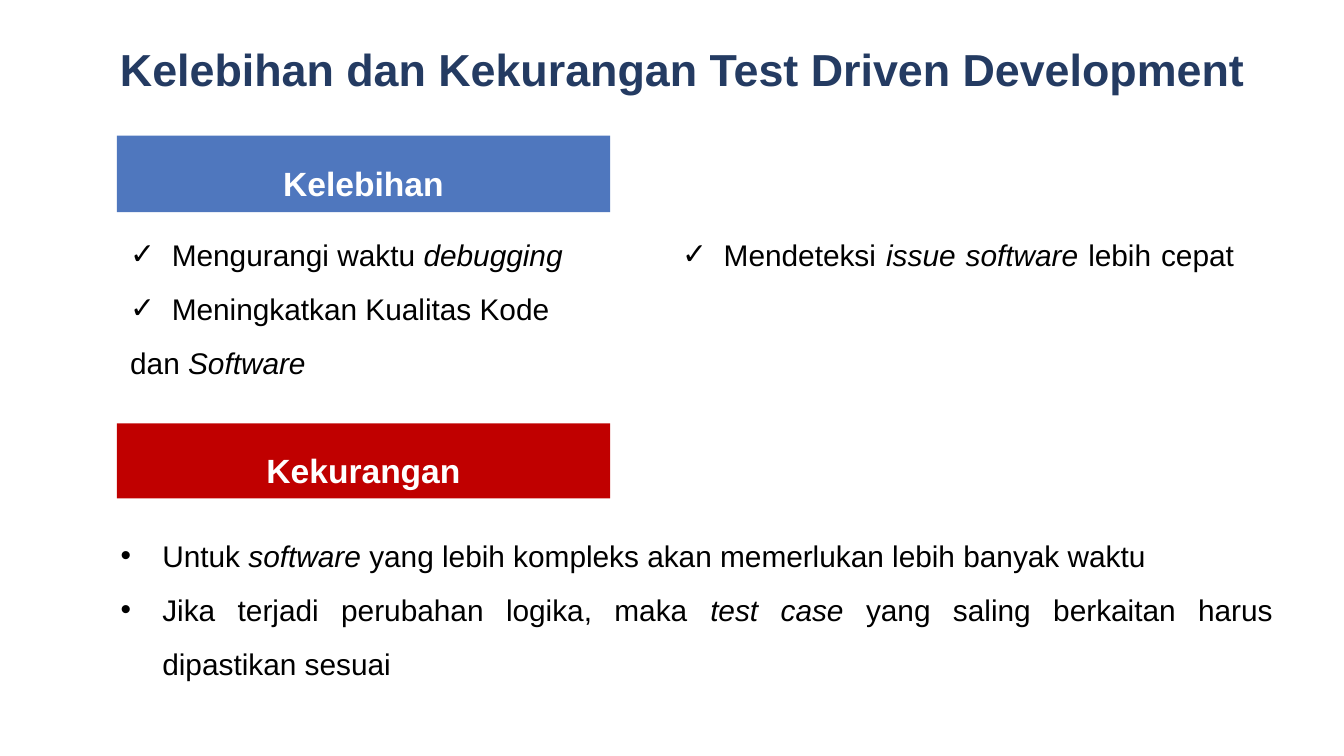
from dataclasses import dataclass

from lxml.etree import SubElement
from pptx import Presentation
from pptx.dml.color import RGBColor
from pptx.enum.shapes import MSO_SHAPE
from pptx.enum.text import MSO_ANCHOR, MSO_AUTO_SIZE, PP_ALIGN
from pptx.oxml.ns import qn
from pptx.util import Inches, Pt


@dataclass(frozen=True)
class Theme:
    font: str = "Arial"
    title: str = "243B62"
    body: str = "000000"
    on_fill: str = "FFFFFF"
    pros: str = "4F77BE"
    cons: str = "C00000"
    title_size: int = 24
    heading_size: int = 18
    body_size: int = 16
    line_spacing: float = 1.5
    hanging: float = 0.31


@dataclass(frozen=True)
class Box:
    left: float
    top: float
    width: float
    height: float

    def lengths(self) -> list:
        return [Inches(v) for v in (self.left, self.top, self.width, self.height)]


@dataclass(frozen=True)
class Heading:
    text: str
    box: Box
    fill: str


@dataclass(frozen=True)
class Item:
    """A paragraph whose *starred* words are italic."""
    text: str
    bullet: str = ""


@dataclass(frozen=True)
class ItemList:
    box: Box
    items: tuple
    columns: int = 1


T = Theme()
SLIDE_WIDTH = Inches(10)
SLIDE_HEIGHT = SLIDE_WIDTH * 9 // 16
TITLE = "Kelebihan dan Kekurangan Test Driven Development"
TITLE_BOX = Box(0.58, 0.26, 8.99, 0.5)
HEADINGS = (
    Heading("Kelebihan", Box(0.87, 1.01, 3.67, 0.57), T.pros),
    Heading("Kekurangan", Box(0.87, 3.15, 3.67, 0.56), T.cons),
)
LISTS = (
    ItemList(Box(0.87, 1.58, 8.41, 1.31), (
        Item("Mengurangi waktu *debugging*", "✓"),
        Item("Meningkatkan Kualitas Kode ", "✓"),
        Item("dan *Software*"),
        Item("Mendeteksi *issue software *lebih cepat ", "✓"),
    ), columns=2),
    ItemList(Box(0.8, 3.82, 8.77, 1.26), (
        Item("Untuk *software *yang lebih kompleks akan memerlukan lebih banyak waktu ", "•"),
        Item("Jika terjadi perubahan logika, maka *test case* yang saling berkaitan harus "
             "dipastikan sesuai", "•"),
    )),
)


def set_format(target, values: dict) -> None:
    for name, value in values.items():
        setattr(target, name, value)


def add_run(p, text: str, size: int, color: str, **extra) -> None:
    r = p.add_run()
    r.text = text
    set_format(r.font, {"name": T.font, "size": Pt(size), **extra})
    r.font.color.rgb = RGBColor.from_string(color)


def add_text_frame(s, box: Box):
    tf = s.shapes.add_textbox(*box.lengths()).text_frame
    set_format(tf, {"word_wrap": True, "auto_size": MSO_AUTO_SIZE.SHAPE_TO_FIT_TEXT})
    return tf


def add_bullet(p, char: str) -> None:
    pPr = p._p.get_or_add_pPr()
    pPr.set("marL", str(Inches(T.hanging)))
    pPr.set("indent", str(-Inches(T.hanging)))
    color = SubElement(pPr, qn("a:buClr"))
    SubElement(color, qn("a:srgbClr"), val=T.body)
    SubElement(pPr, qn("a:buFont"), typeface=T.font)
    SubElement(pPr, qn("a:buChar"), char=char)


def add_title(s) -> None:
    p = add_text_frame(s, TITLE_BOX).paragraphs[0]
    p.alignment = PP_ALIGN.CENTER
    add_run(p, TITLE, T.title_size, T.title, bold=True)


def add_heading(s, heading: Heading) -> None:
    sp = s.shapes.add_shape(MSO_SHAPE.RECTANGLE, *heading.box.lengths())
    sp.shadow.inherit = False
    sp.fill.solid()
    sp.fill.fore_color.rgb = RGBColor.from_string(heading.fill)
    sp.line.fill.background()
    tf = sp.text_frame
    set_format(tf, {"word_wrap": True, "vertical_anchor": MSO_ANCHOR.TOP,
                    "auto_size": MSO_AUTO_SIZE.SHAPE_TO_FIT_TEXT})
    p = tf.paragraphs[0]
    set_format(p, {"alignment": PP_ALIGN.CENTER, "line_spacing": T.line_spacing})
    add_run(p, heading.text, T.heading_size, T.on_fill, bold=True)


def add_list(s, item_list: ItemList) -> None:
    tf = add_text_frame(s, item_list.box)
    if item_list.columns > 1:
        tf._txBody.bodyPr.set("numCol", str(item_list.columns))
    for i, item in enumerate(item_list.items):
        p = tf.add_paragraph() if i else tf.paragraphs[0]
        set_format(p, {"alignment": PP_ALIGN.JUSTIFY, "line_spacing": T.line_spacing})
        if item.bullet:
            add_bullet(p, item.bullet)
        for j, part in enumerate(item.text.split("*")):
            if part:
                add_run(p, part, T.body_size, T.body, italic=j % 2 == 1)


def main() -> None:
    prs = Presentation()
    set_format(prs, {"slide_width": SLIDE_WIDTH, "slide_height": SLIDE_HEIGHT})
    s = prs.slides.add_slide(prs.slide_layouts[6])
    add_title(s)
    for heading in HEADINGS:
        add_heading(s, heading)
    for item_list in LISTS:
        add_list(s, item_list)
    prs.save("out.pptx")


if __name__ == "__main__":
    main()
